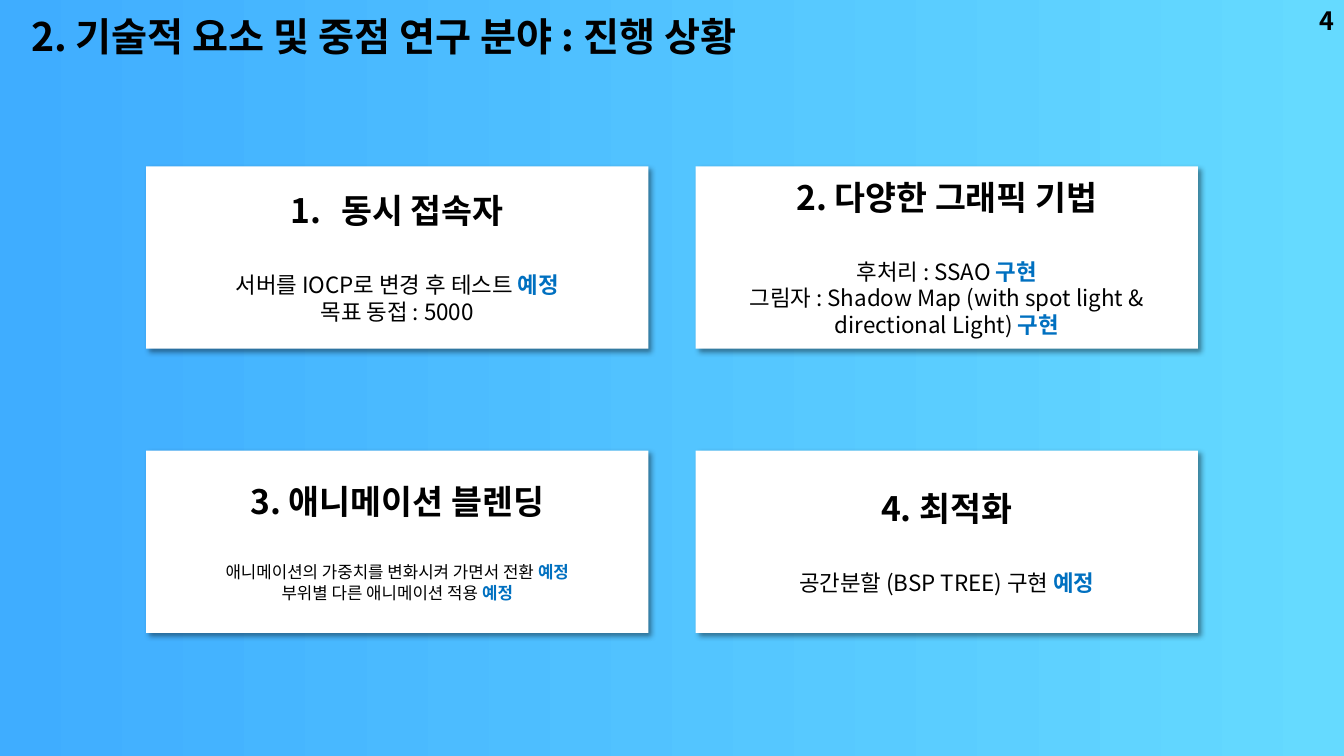
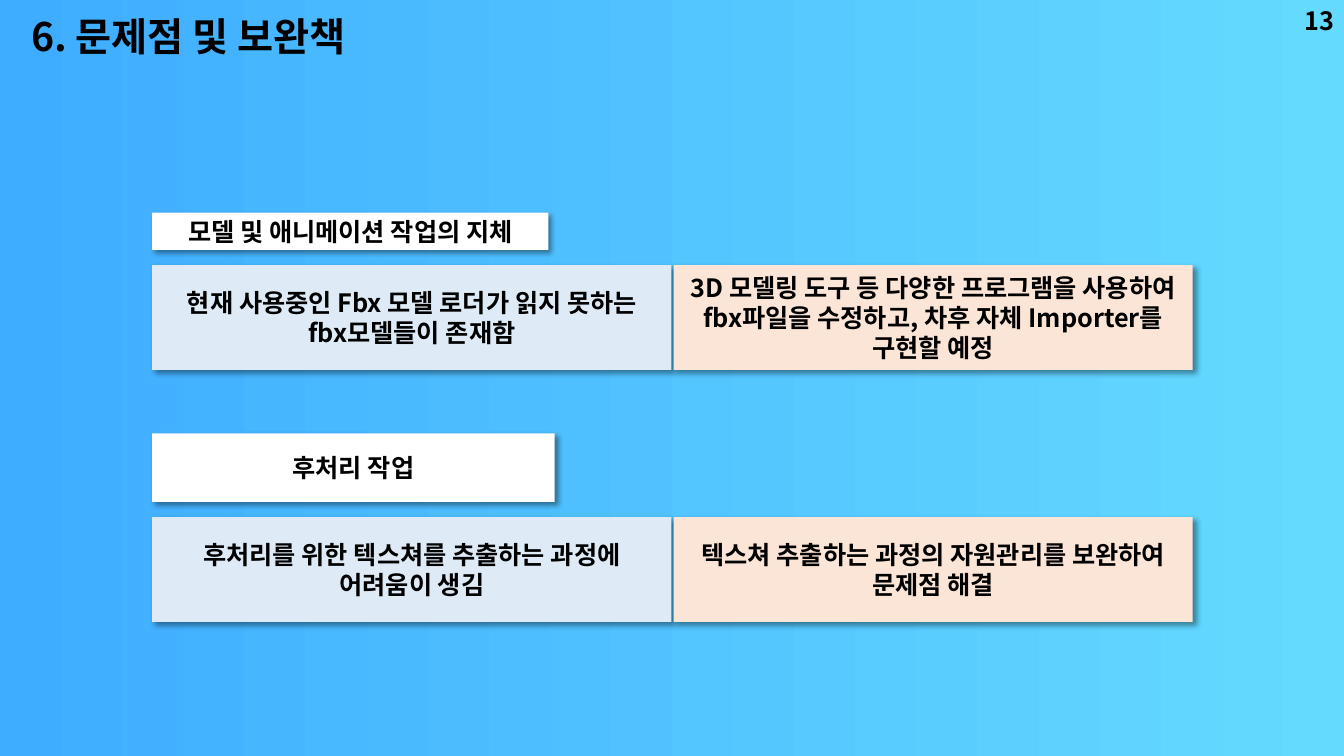
from dataclasses import dataclass

from lxml import etree
from pptx import Presentation
from pptx.dml.color import RGBColor
from pptx.enum.shapes import MSO_SHAPE
from pptx.enum.text import MSO_ANCHOR, MSO_AUTO_SIZE, PP_ALIGN
from pptx.oxml.ns import qn
from pptx.util import Inches, Pt

RECT = MSO_SHAPE.RECTANGLE
TOP, MIDDLE = MSO_ANCHOR.TOP, MSO_ANCHOR.MIDDLE
LEFT, CENTER, RIGHT = PP_ALIGN.LEFT, PP_ALIGN.CENTER, PP_ALIGN.RIGHT


@dataclass(frozen=True)
class Theme:
    font: str = "Noto Sans CJK KR"
    sky_from: str = "3FADFF"
    sky_to: str = "65DAFF"
    text: str = "000000"
    accent: str = "0070C0"
    card: str = "FFFFFF"
    problem: str = "DEEBF7"
    fix: str = "FBE5D6"
    title_size: int = 28
    heading_size: int = 24
    label_size: int = 18
    body_size: int = 16
    small_size: int = 12
    heading_gap: int = 29


T = Theme()

PROGRESS = {
    "title": "2. 기술적 요소 및 중점 연구 분야 : 진행 상황",
    "number": "4",
    "cards": [
        ("동시 접속자", True, T.body_size, [
            ("서버를 IOCP로 변경 후 테스트 ", "예정"),
            ("목표 동접 : 5000", ""),
        ]),
        ("2. 다양한 그래픽 기법", False, T.body_size, [
            ("후처리 : SSAO ", "구현"),
            ("그림자 : Shadow Map (with spot light & directional Light) ", "구현"),
        ]),
        ("3. 애니메이션 블렌딩", False, T.small_size, [
            ("애니메이션의 가중치를 변화시켜 가면서 전환 ", "예정"),
            ("부위별 다른 애니메이션 적용 ", "예정"),
        ]),
        ("4. 최적화", False, T.body_size, [
            ("공간분할 (BSP TREE) 구현 ", "예정"),
        ]),
    ],
}

ISSUES = {
    "title": "6. 문제점 및 보완책",
    "number": "13",
    "rows": [
        ("모델 및 애니메이션 작업의 지체", 3.93, 0.37,
         ["현재 사용중인 Fbx 모델 로더가 읽지 못하는", "fbx모델들이 존재함"],
         ["3D 모델링 도구 등 다양한 프로그램을 사용하여 fbx파일을 수정하고, "
          "차후 자체 Importer를 구현할 예정"]),
        ("후처리 작업", 3.99, 0.68,
         ["후처리를 위한 텍스쳐를 추출하는 과정에", "어려움이 생김"],
         ["텍스쳐 추출하는 과정의 자원관리를 보완하여 문제점 해결"]),
    ],
}


def add_run(p, text, size, color=T.text, bold=True):
    r = p.add_run()
    r.text = text
    r.font.size = Pt(size)
    r.font.bold = bold
    r.font.name = T.font
    r.font.color.rgb = RGBColor.from_string(color)
    ea = etree.SubElement(r.font._element, qn("a:ea"))
    ea.set("typeface", T.font)


def next_paragraph(tf, first, align=CENTER):
    p = tf.paragraphs[0] if first else tf.add_paragraph()
    p.alignment = align
    return p


def add_auto_number(p):
    pPr = p._p.get_or_add_pPr()
    pPr.set("marL", str(Inches(0.5)))
    pPr.set("indent", str(-Inches(0.5)))
    etree.SubElement(pPr, qn("a:buAutoNum")).set("type", "arabicPeriod")


def add_shadow(sp):
    sp.shadow.inherit = False
    effects = sp._element.spPr.find(qn("a:effectLst"))
    shadow = etree.SubElement(
        effects, qn("a:outerShdw"), blurRad=str(Pt(4)), dist=str(Pt(3)),
        dir="2700000", algn="tl", rotWithShape="0")
    color = etree.SubElement(shadow, qn("a:srgbClr"), val="000000")
    etree.SubElement(color, qn("a:alpha"), val="40000")


def add_panel(s, x, y, w, h, fill):
    sp = s.shapes.add_shape(RECT, Inches(x), Inches(y), Inches(w), Inches(h))
    sp.fill.solid()
    sp.fill.fore_color.rgb = RGBColor.from_string(fill)
    sp.line.fill.background()
    add_shadow(sp)
    tf = sp.text_frame
    tf.word_wrap = True
    tf.vertical_anchor = MIDDLE
    return tf


def add_label(s, x, y, w, h, fill, lines):
    tf = add_panel(s, x, y, w, h, fill)
    for i, line in enumerate(lines):
        add_run(next_paragraph(tf, i == 0), line, T.label_size)


def set_background(prs):
    fill = prs.slide_master.background.fill
    fill.gradient()
    fill.gradient_angle = 0
    for stop, color, position in zip(fill.gradient_stops, (T.sky_from, T.sky_to), (0, 1)):
        stop.color.rgb = RGBColor.from_string(color)
        stop.position = position


def add_slide(prs, content):
    s = prs.slides.add_slide(prs.slide_layouts[5])
    title = s.shapes.title
    title.left, title.top = Inches(0.21), Inches(0.07)
    title.width, title.height = Inches(10), Inches(0.57)
    tf = title.text_frame
    tf.auto_size = MSO_AUTO_SIZE.NONE
    tf.vertical_anchor = TOP
    add_run(next_paragraph(tf, True, LEFT), content["title"], T.title_size)

    number = s.shapes.add_textbox(Inches(10.33), 0, Inches(3), Inches(0.4))
    tf = number.text_frame
    tf.word_wrap = True
    tf.vertical_anchor = MIDDLE
    add_run(next_paragraph(tf, True, RIGHT), content["number"], T.label_size)
    return s


def build_progress(prs):
    s = add_slide(prs, PROGRESS)
    for i, (heading, numbered, size, lines) in enumerate(PROGRESS["cards"]):
        row, col = divmod(i, 2)
        tf = add_panel(s, 1.45 + 5.45 * col, 1.65 + 2.82 * row, 4.98, 1.81, T.card)
        p = next_paragraph(tf, True)
        if numbered:
            add_auto_number(p)
        add_run(p, heading, T.heading_size)
        for j, (text, status) in enumerate(lines):
            p = next_paragraph(tf, False)
            if j == 0:
                p.space_before = Pt(T.heading_gap)
            add_run(p, text, size, bold=False)
            if status:
                add_run(p, status, size, T.accent)


def build_issues(prs):
    s = add_slide(prs, ISSUES)
    left, width, height, gap = 1.51, 5.15, 1.04, 0.02
    for i, (heading, head_w, head_h, problem, fix) in enumerate(ISSUES["rows"]):
        y = 2.63 + 2.5 * i
        add_label(s, left, y - 0.15 - head_h, head_w, head_h, T.card, [heading])
        add_label(s, left, y, width, height, T.problem, problem)
        add_label(s, left + width + gap, y, width, height, T.fix, fix)


def main():
    prs = Presentation()
    prs.slide_width, prs.slide_height = Inches(13.33), Inches(7.5)
    set_background(prs)
    build_progress(prs)
    build_issues(prs)
    prs.save("out.pptx")


if __name__ == "__main__":
    main()
